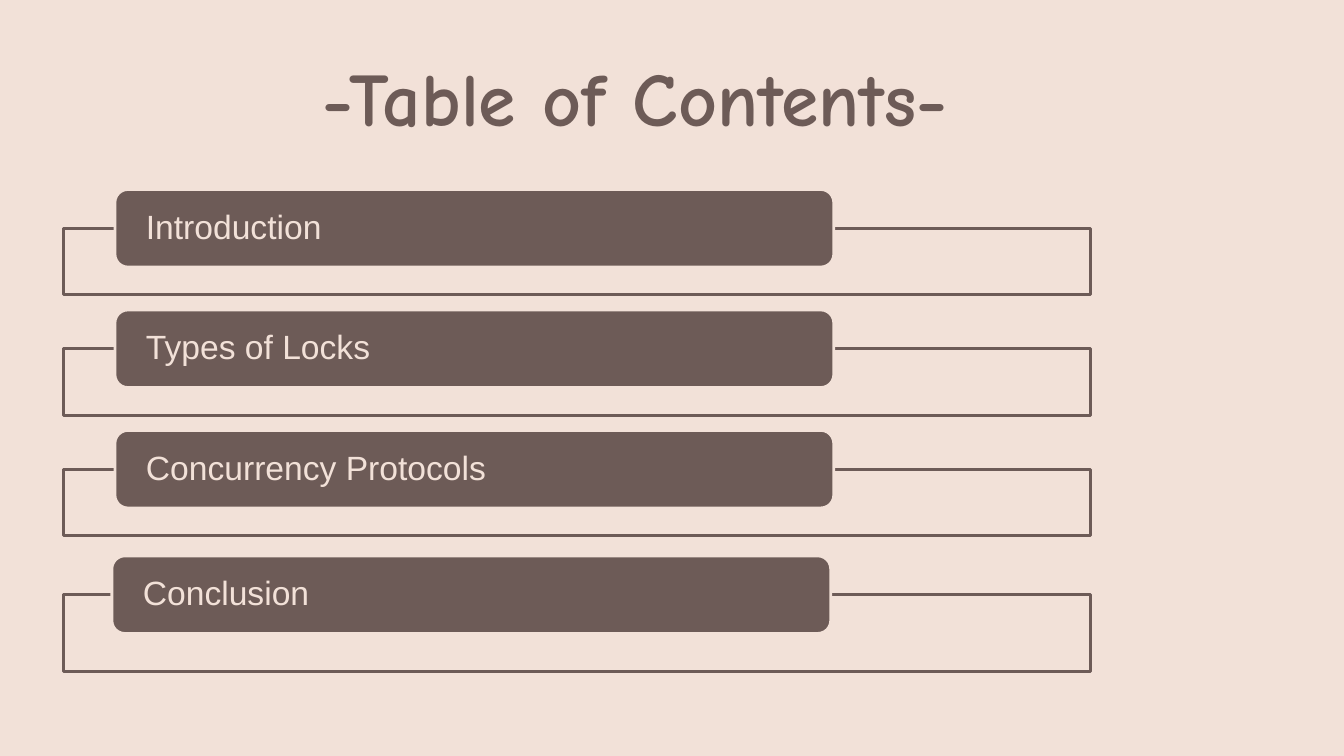
from lxml import etree
from pptx import Presentation, util as u
from pptx.dml.color import RGBColor
from pptx.enum import shapes, text
from pptx.oxml import ns

COLORS = {"cream": "F2E1D8", "cocoa": "6D5B57"}
SLIDE_W, SLIDE_H = 13.33, 7.5

# Grid of the contents list
FIRST_ROW, ROW_STEP = 1.88, 1.195
FRAME_LEFT, FRAME_W, FRAME_H = 0.63, 10.19, 0.66
LABEL_LEFT, LABEL_W, LABEL_H = 1.14, 7.13, 0.77
FRAME_DROP = LABEL_H / 2
LAST_FRAME_H, LAST_SHIFT, LAST_DROP = 0.76, -0.03, 0.05

TOPICS = ["Introduction", "Types of Locks", "Concurrency Protocols", "Conclusion"]


def color(name):
    return RGBColor.from_string(COLORS[name])


def style_run(paragraph, font_name, size, tone, bold=False):
    font = paragraph.runs[0].font
    font.name, font.size, font.bold = font_name, u.Pt(size), bold
    font.color.rgb = color(tone)


def add_box(slide, preset, left, top, width, height, fill, line):
    box = slide.shapes.add_shape(preset, *map(u.Inches, (left, top, width, height)))
    box.shadow.inherit = False
    box.fill.solid()
    box.fill.fore_color.rgb = color(fill)
    box.line.color.rgb = color(line)
    box.line.width = u.Pt(2)
    return box


def add_frame(slide, top, height):
    frame = add_box(slide, shapes.MSO_SHAPE.RECTANGLE, FRAME_LEFT, top,
                    FRAME_W, height, "cream", "cocoa")
    # Fill opacity of 90 %
    tint = frame.fill._xPr.find(ns.qn("a:solidFill"))[0]
    etree.SubElement(tint, ns.qn("a:alpha")).set("val", "90000")


def add_label(slide, topic, left, top):
    label = add_box(slide, shapes.MSO_SHAPE.ROUNDED_RECTANGLE, left, top,
                    LABEL_W, LABEL_H, "cocoa", "cream")
    frame = label.text_frame
    frame.word_wrap = True
    frame.vertical_anchor = text.MSO_ANCHOR.MIDDLE
    frame.margin_left = frame.margin_right = u.Inches(0.27)
    frame.margin_top = frame.margin_bottom = 0
    frame.text = topic
    line = frame.paragraphs[0]
    line.alignment = text.PP_ALIGN.LEFT
    line.line_spacing = 0.9
    style_run(line, "Arial", 24, "cream")


def set_title(slide, wording):
    title = slide.shapes.title
    title.left, title.top = 0, u.Inches(0.4)
    title.width, title.height = u.Inches(12.6), u.Inches(0.89)
    frame = title.text_frame
    frame.auto_size = text.MSO_AUTO_SIZE.NONE
    frame.vertical_anchor = text.MSO_ANCHOR.TOP
    frame.margin_left = frame.margin_right = u.Inches(0.1)
    frame.margin_top = frame.margin_bottom = u.Inches(0.1)
    frame.text = wording
    frame.paragraphs[0].alignment = text.PP_ALIGN.CENTER
    style_run(frame.paragraphs[0], "Comic Neue", 54, "cocoa", bold=True)


def main():
    deck = Presentation()
    deck.slide_width, deck.slide_height = u.Inches(SLIDE_W), u.Inches(SLIDE_H)
    slide = deck.slides.add_slide(deck.slide_layouts[5])
    slide.background.fill.solid()
    slide.background.fill.fore_color.rgb = color("cream")

    set_title(slide, "-Table of Contents-")

    # Contents list; the last entry sits slightly lower in a taller frame
    for row, topic in enumerate(TOPICS):
        last = row == len(TOPICS) - 1
        top = FIRST_ROW + row * ROW_STEP + (LAST_DROP if last else 0)
        add_frame(slide, top + FRAME_DROP, LAST_FRAME_H if last else FRAME_H)
        add_label(slide, topic, LABEL_LEFT + (LAST_SHIFT if last else 0), top)

    deck.save("out.pptx")


if __name__ == "__main__":
    main()
